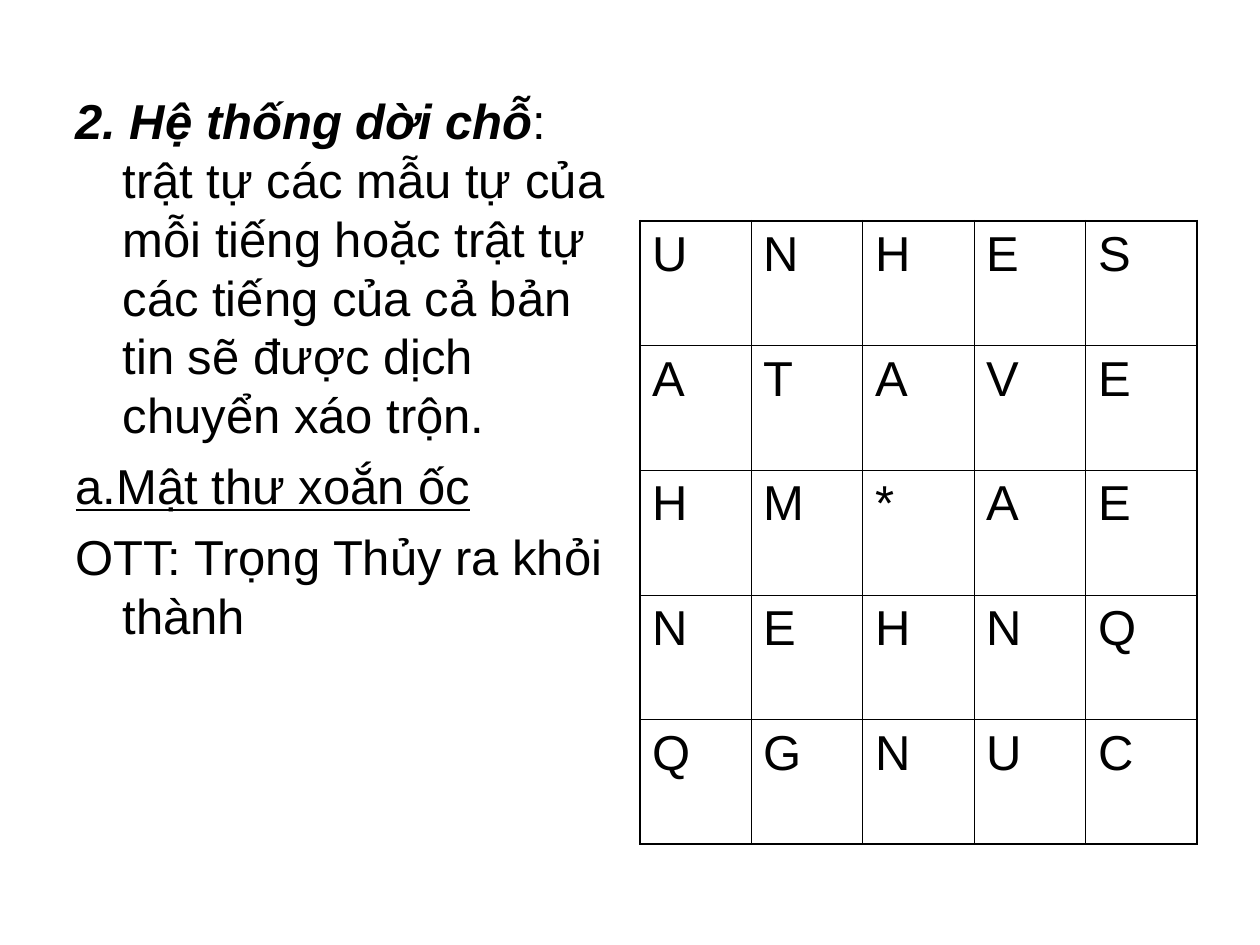
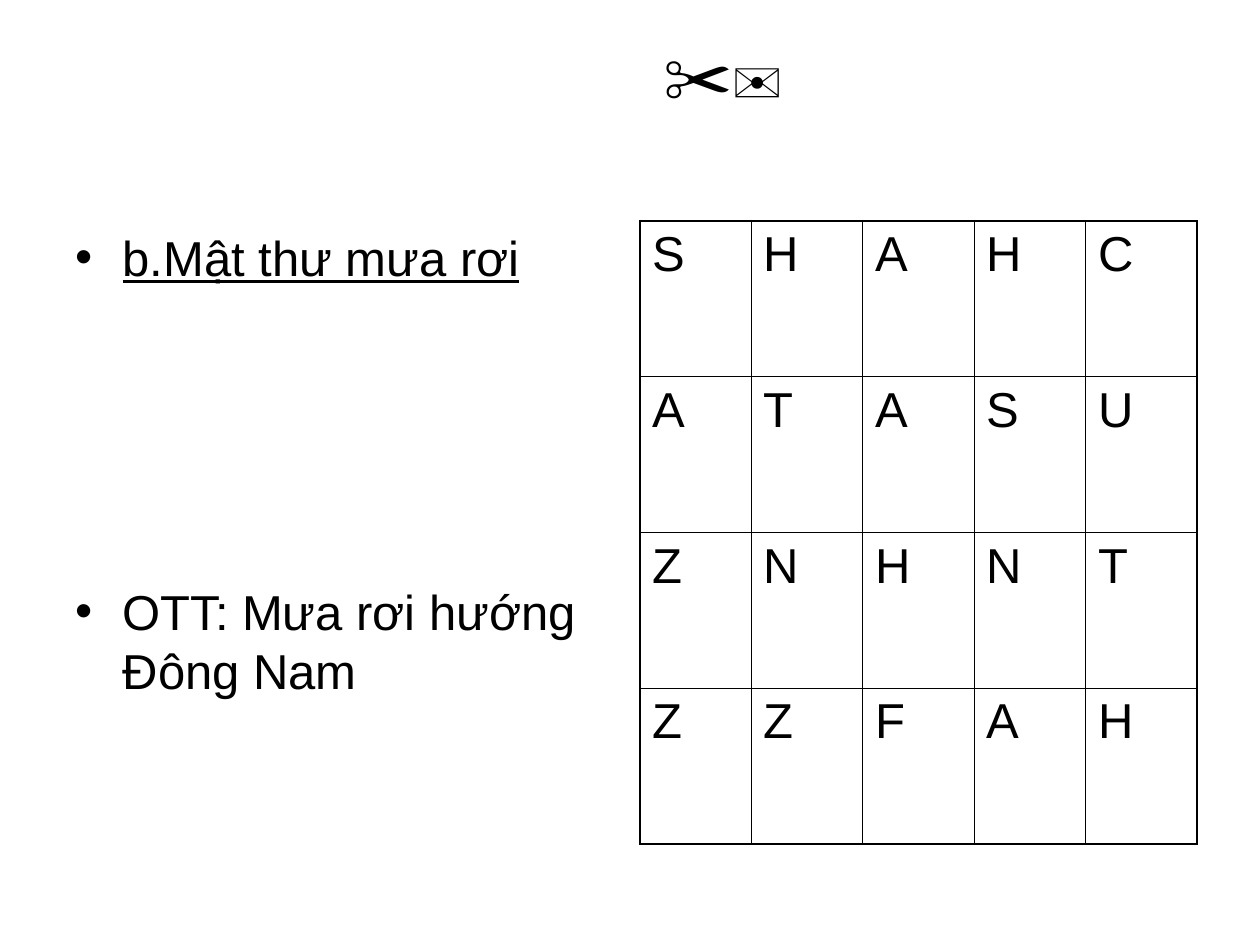
from dataclasses import dataclass

from lxml import etree
from pptx import Presentation
from pptx import util as u
from pptx.dml.color import RGBColor
from pptx.enum import text
from pptx.oxml.ns import qn

FONT = "Arial"
INK = "000000"
BODY_SIZE = 28
COLUMN_WIDTH = u.Cm(11.23)
BODY_LEFT = u.Cm(1.27)
GRID_LEFT = u.Cm(12.9)
GRID_TOP = u.Cm(4.45)
CONTENT_BOTTOM = u.Cm(17.02)
HANGING = u.Cm(0.95)
OUTER_LINE, INNER_LINE = 1.08, 0.45
TITLE_AND_CONTENT = 1


@dataclass(frozen=True)
class Phrase:
    words: str
    emphasis: bool = False
    underline: bool = False


@dataclass(frozen=True)
class Item:
    phrases: tuple[Phrase, ...]
    space_before: float = 7


@dataclass(frozen=True)
class Cipher:
    top: u.Length
    bullet: str
    items: tuple[Item, ...]
    letters: tuple[str, ...]


CIPHERS = (
    Cipher(
        u.Cm(1.7),
        "",
        (
            Item((
                Phrase("2. Hệ thống dời chỗ", emphasis=True),
                Phrase(": trật tự các mẫu tự của mỗi tiếng hoặc trật tự các tiếng "
                       "của cả bản tin sẽ được dịch chuyển xáo trộn."),
            )),
            Item((Phrase("a.Mật thư xoắn ốc", underline=True),)),
            Item((Phrase("OTT: Trọng Thủy ra khỏi thành"),)),
        ),
        ("UNHES", "ATAVE", "HM*AE", "NEHNQ", "QGNUC"),
    ),
    Cipher(
        GRID_TOP,
        "•",
        (
            Item((Phrase("b.Mật thư mưa rơi", underline=True),)),
            Item((Phrase("OTT: Mưa rơi hướng Đông Nam"),), space_before=169),
        ),
        ("SHAHC", "ATASU", "ZNHNT", "ZZFAH"),
    ),
)


def color(hex_value: str) -> RGBColor:
    return RGBColor.from_string(hex_value)


def style_run(run, size: float = BODY_SIZE) -> None:
    run.font.name = FONT
    run.font.size = u.Pt(size)
    run.font.color.rgb = color(INK)


def set_bullet(paragraph, bullet: str, hanging: int = 0) -> None:
    properties = paragraph._p.get_or_add_pPr()
    properties.set("marL", str(hanging))
    properties.set("indent", str(-hanging))
    if not bullet:
        etree.SubElement(properties, qn("a:buNone"))
        return
    bullet_color = etree.SubElement(properties, qn("a:buClr"))
    etree.SubElement(bullet_color, qn("a:srgbClr"), val=INK)
    etree.SubElement(properties, qn("a:buFont"), typeface=FONT)
    etree.SubElement(properties, qn("a:buChar"), char=bullet)


def draw_explanation(slide, cipher: Cipher) -> None:
    body = slide.placeholders[1]
    body.left, body.top = BODY_LEFT, cipher.top
    body.width, body.height = COLUMN_WIDTH, CONTENT_BOTTOM - cipher.top
    frame = body.text_frame
    frame.auto_size = text.MSO_AUTO_SIZE.NONE
    for index, item in enumerate(cipher.items):
        paragraph = frame.add_paragraph() if index else frame.paragraphs[0]
        paragraph.space_before = u.Pt(item.space_before)
        set_bullet(paragraph, cipher.bullet, HANGING)
        for phrase in item.phrases:
            run = paragraph.add_run()
            run.text = phrase.words
            style_run(run)
            run.font.bold = run.font.italic = phrase.emphasis
            run.font.underline = phrase.underline


def set_border(cell, side: str, width: float) -> None:
    properties = cell._tc.get_or_add_tcPr()
    line = etree.SubElement(properties, qn(f"a:ln{side}"), w=str(u.Pt(width)))
    fill = etree.SubElement(line, qn("a:solidFill"))
    etree.SubElement(fill, qn("a:srgbClr"), val=INK)


def draw_letter_grid(slide, letters: tuple[str, ...]) -> None:
    row_count, column_count = len(letters), len(letters[0])
    height = CONTENT_BOTTOM - GRID_TOP
    grid = slide.shapes.add_table(
        row_count, column_count, GRID_LEFT, GRID_TOP, COLUMN_WIDTH, height
    ).table
    grid.first_row = grid.horz_banding = False
    for row, word in enumerate(letters):
        for column, letter in enumerate(word):
            cell = grid.cell(row, column)
            outer_sides = {
                "L": column == 0,
                "R": column == column_count - 1,
                "T": row == 0,
                "B": row == row_count - 1,
            }
            for side, is_outer in outer_sides.items():
                set_border(cell, side, OUTER_LINE if is_outer else INNER_LINE)
            cell.fill.background()
            cell.text_frame.text = letter
            paragraph = cell.text_frame.paragraphs[0]
            paragraph.space_before = u.Pt(7)
            style_run(paragraph.runs[0])


def draw_scissors_and_letter(slide) -> None:
    symbols = slide.shapes.add_textbox(u.Cm(13.13), u.Cm(0.64), u.Cm(4.45), u.Cm(1.96))
    symbols.text_frame.word_wrap = True
    symbols.text_frame.text = "✉"
    paragraph = symbols.text_frame.paragraphs[0]
    paragraph.space_before = u.Pt(10)
    set_bullet(paragraph, "✂")
    style_run(paragraph.runs[0], 40)


def main() -> None:
    deck = Presentation()
    deck.slide_width, deck.slide_height = u.Cm(25.4), u.Cm(19.05)
    for cipher in CIPHERS:
        slide = deck.slides.add_slide(deck.slide_layouts[TITLE_AND_CONTENT])
        empty_title = slide.shapes.title.element
        empty_title.getparent().remove(empty_title)
        draw_explanation(slide, cipher)
        draw_letter_grid(slide, cipher.letters)
    draw_scissors_and_letter(slide)
    deck.save("out.pptx")


if __name__ == "__main__":
    main()
